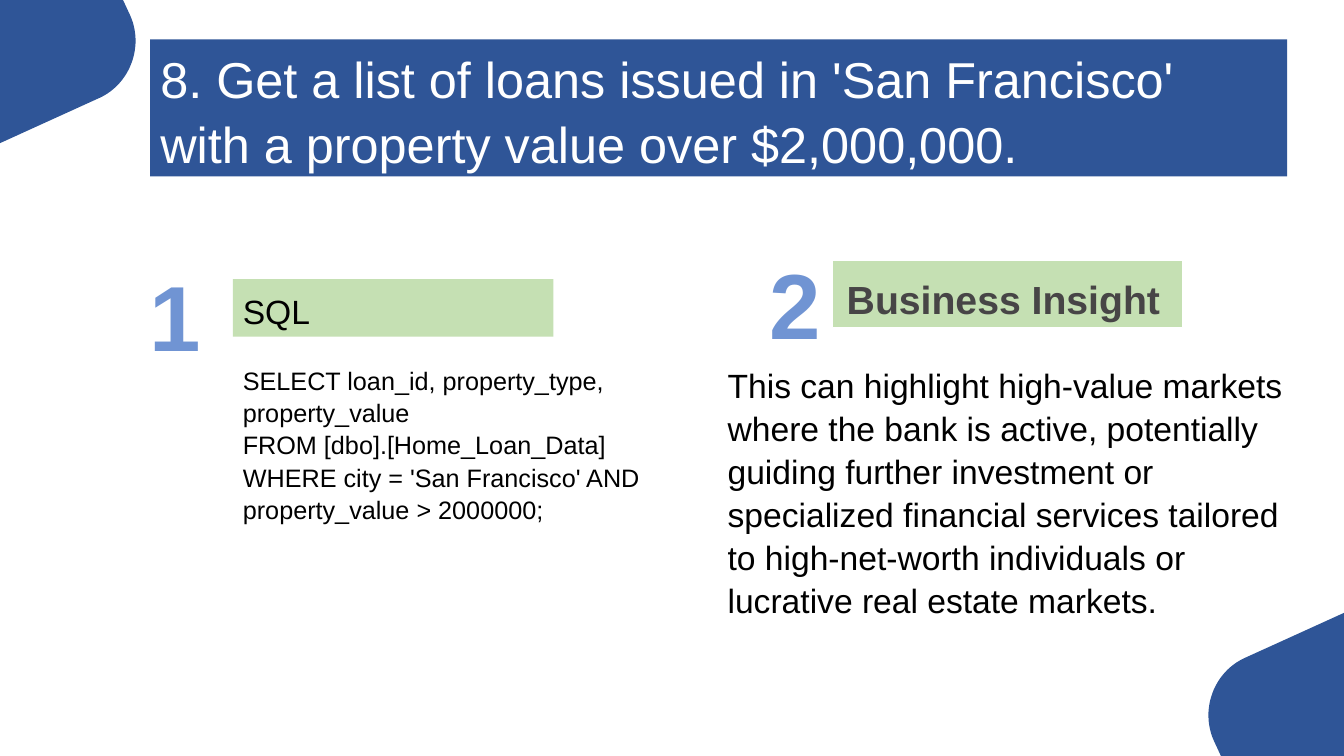
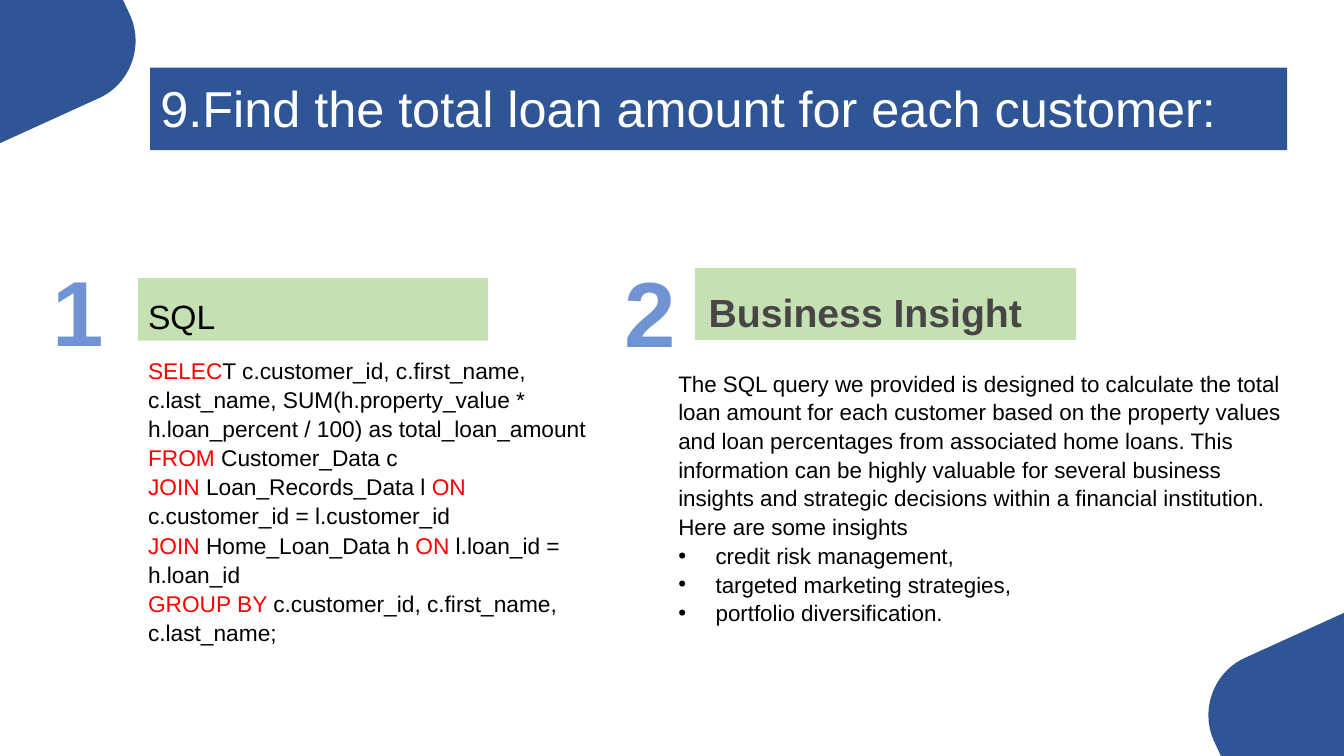
from dataclasses import dataclass
from typing import Any

from lxml.etree import SubElement
from pptx import Presentation
from pptx.dml.color import RGBColor
from pptx.enum.shapes import MSO_SHAPE
from pptx.enum.text import MSO_ANCHOR, MSO_AUTO_SIZE, PP_ALIGN
from pptx.oxml.ns import qn
from pptx.util import Emu, Inches, Pt

# Shared look
NAVY = RGBColor(0x2F, 0x55, 0x97)
SKY = RGBColor(0x70, 0x94, 0xD3)
GREEN = RGBColor(0xC5, 0xE0, 0xB3)
CHARCOAL = RGBColor(0x47, 0x45, 0x46)
RED = RGBColor(0xFF, 0x00, 0x00)
BLACK = RGBColor(0x00, 0x00, 0x00)
WHITE = RGBColor(0xFF, 0xFF, 0xFF)
FONT = "Arial"
LINE_SPACING = 1.07
BULLET_INDENT = Inches(0.37)
WIDTH, HEIGHT = Inches(13.33), Inches(7.5)
FRAME = {
    "word_wrap": True,
    "auto_size": MSO_AUTO_SIZE.NONE,
    "vertical_anchor": MSO_ANCHOR.TOP,
    "margin_left": Inches(0.1),
    "margin_right": Inches(0.1),
    "margin_top": Inches(0.05),
    "margin_bottom": Inches(0.05),
}
TITLE_FONT = {"size": Pt(36), "bold": False}
NUMBER_FONT = {"size": Pt(66), "bold": True}


@dataclass(frozen=True)
class Box:
    """A place in percent of the slide's width and height."""
    left: float
    top: float
    width: float
    height: float

    def lengths(self) -> tuple[Emu, Emu, Emu, Emu]:
        return (Emu(int(WIDTH * self.left / 100)), Emu(int(HEIGHT * self.top / 100)),
                Emu(int(WIDTH * self.width / 100)), Emu(int(HEIGHT * self.height / 100)))


@dataclass(frozen=True)
class LabelStyle:
    size: float
    bold: bool
    color: RGBColor
    inset: float
    outlined: bool


SQL_LABEL = LabelStyle(24, False, BLACK, 0.1, False)
INSIGHT_LABEL = LabelStyle(28, True, CHARCOAL, 0.14, True)


@dataclass(frozen=True)
class Section:
    number: str
    number_left: float
    number_top: float
    label: str
    label_box: Box
    label_style: LabelStyle
    body_box: Box
    body_size: float
    lines: tuple[str, ...]  # text between bars is a red keyword
    bullets: tuple[str, ...] = ()


@dataclass(frozen=True)
class Page:
    title: str
    title_top: float
    title_height: float
    sections: tuple[Section, ...]


PAGES = (
    Page(
        "8. Get a list of loans issued in 'San Francisco' with a property value over $2,000,000.",
        5.2, 18.13,
        (
            Section(
                "1", 10.35, 32.53,
                "SQL", Box(17.33, 36.93, 23.85, 7.6), SQL_LABEL,
                Box(17.33, 47.33, 38.25, 28), 18,
                (
                    "SELECT loan_id, property_type, property_value",
                    "FROM [dbo].[Home_Loan_Data]",
                    "WHERE city = 'San Francisco' AND property_value > 2000000;",
                ),
            ),
            Section(
                "2", 56.55, 31.07,
                "Business Insight", Box(61.95, 34.4, 26.03, 8.93), INSIGHT_LABEL,
                Box(53.4, 47.2, 43.58, 36.67), 24,
                (
                    "This can highlight high-value markets where the bank is active, "
                    "potentially guiding further investment or specialized financial "
                    "services tailored to high-net-worth individuals or lucrative "
                    "real estate markets.",
                ),
            ),
        ),
    ),
    Page(
        "9.Find the total loan amount for each customer:",
        8.93, 10.93,
        (
            Section(
                "1", 3.15, 31.87,
                "SQL", Box(10.28, 36.8, 26.03, 8.27), SQL_LABEL,
                Box(10.28, 46.27, 35.63, 36.13), 16.2,
                (
                    "|SELEC|T c.customer_id, c.first_name, c.last_name, "
                    "SUM(h.property_value * h.loan_percent / 100) as total_loan_amount",
                    "|FROM |Customer_Data c",
                    "|JOIN| Loan_Records_Data l |ON |c.customer_id = l.customer_id",
                    "|JOIN |Home_Loan_Data h |ON| l.loan_id = h.loan_id",
                    "|GROUP BY |c.customer_id, c.first_name, c.last_name;",
                ),
            ),
            Section(
                "2", 45.75, 32,
                "Business Insight", Box(51.68, 35.33, 28.43, 9.73), INSIGHT_LABEL,
                Box(49.73, 48, 47.93, 37.07), 16,
                (
                    "The SQL query we provided is designed to calculate the total loan "
                    "amount for each customer based on the property values and loan "
                    "percentages from associated home loans. This information can be "
                    "highly valuable for several business insights and strategic "
                    "decisions within a financial institution. Here are some insights",
                ),
                (
                    "credit risk management,",
                    "targeted marketing strategies,",
                    "portfolio diversification.",
                ),
            ),
        ),
    ),
)


def apply(target: Any, values: dict[str, Any]) -> None:
    for name, value in values.items():
        setattr(target, name, value)


def place(shape: Any, box: Box) -> None:
    apply(shape, dict(zip(("left", "top", "width", "height"), box.lengths())))


def write(paragraph: Any, text: str, color: RGBColor, font: dict[str, Any]) -> None:
    apply(paragraph, {"alignment": PP_ALIGN.LEFT, "line_spacing": LINE_SPACING})
    for index, part in enumerate(text.split("|")):
        if part:
            run = paragraph.add_run()
            run.text = part
            apply(run.font, {"name": FONT, **font})
            run.font.color.rgb = RED if index % 2 else color


def add_bullet(paragraph: Any) -> None:
    properties = paragraph._p.get_or_add_pPr()
    properties.set("marL", str(BULLET_INDENT))
    properties.set("indent", str(-BULLET_INDENT))
    SubElement(properties, qn("a:buFont")).set("typeface", FONT)
    SubElement(properties, qn("a:buChar")).set("char", "•")


def add_text(slide: Any, box: Box) -> Any:
    shape = slide.shapes.add_textbox(*box.lengths())
    apply(shape.text_frame, FRAME)
    return shape.text_frame


def fill_shape(shape: Any, color: RGBColor) -> None:
    shape.shadow.inherit = False
    shape.fill.solid()
    shape.fill.fore_color.rgb = color
    shape.line.fill.background()


# Corner shapes: the lower right one is the upper left one turned half round
def add_corner(slide: Any, turned: bool) -> None:
    bend = ((1.29, 0.15), (1.43, 0.46), (1.29, 0.83), (0.99, 0.97))
    steps = 24
    curve = []
    for step in range(steps + 1):
        t = step / steps
        weights = ((1 - t) ** 3, 3 * t * (1 - t) ** 2, 3 * t * t * (1 - t), t ** 3)
        curve.append(tuple(sum(w * point[axis] for w, point in zip(weights, bend))
                           for axis in (0, 1)))
    outline = [(Inches(x), Inches(y)) for x, y in [(0, 0), (1.22, 0), *curve, (0, 1.42)]]
    if turned:
        outline = [(WIDTH - x, HEIGHT - y) for x, y in outline]
    builder = slide.shapes.build_freeform(*outline[0])
    builder.add_line_segments(outline[1:], close=True)
    fill_shape(builder.convert_to_shape(), NAVY)


def add_title(slide: Any, page: Page) -> None:
    title = slide.shapes.title
    place(title, Box(11.18, page.title_top, 84.6, page.title_height))
    title.fill.solid()
    title.fill.fore_color.rgb = NAVY
    apply(title.text_frame, FRAME)
    write(title.text_frame.paragraphs[0], page.title, WHITE, TITLE_FONT)


def add_label(slide: Any, section: Section) -> None:
    style = section.label_style
    label = slide.shapes.add_shape(MSO_SHAPE.RECTANGLE, *section.label_box.lengths())
    fill_shape(label, GREEN)
    if style.outlined:
        label.line.color.rgb = WHITE
        label.line.width = Pt(1)
    apply(label.text_frame, {**FRAME, "vertical_anchor": MSO_ANCHOR.BOTTOM,
                             "margin_left": Inches(style.inset)})
    write(label.text_frame.paragraphs[0], section.label, style.color,
          {"size": Pt(style.size), "bold": style.bold})


def add_section(slide: Any, section: Section) -> None:
    number = add_text(slide, Box(section.number_left, section.number_top, 15.38, 16.13))
    write(number.paragraphs[0], section.number, SKY, NUMBER_FONT)
    add_label(slide, section)
    body = add_text(slide, section.body_box)
    for index, text in enumerate(section.lines + section.bullets):
        paragraph = body.add_paragraph() if index else body.paragraphs[0]
        if index >= len(section.lines):
            add_bullet(paragraph)
        write(paragraph, text, BLACK, {"size": Pt(section.body_size)})


def main() -> None:
    presentation = Presentation()
    apply(presentation, {"slide_width": WIDTH, "slide_height": HEIGHT})
    title_only = presentation.slide_layouts.get_by_name("Title Only")
    for page in PAGES:
        slide = presentation.slides.add_slide(title_only)
        for turned in (True, False):
            add_corner(slide, turned)
        add_title(slide, page)
        for section in page.sections:
            add_section(slide, section)
    presentation.save("out.pptx")


if __name__ == "__main__":
    main()
